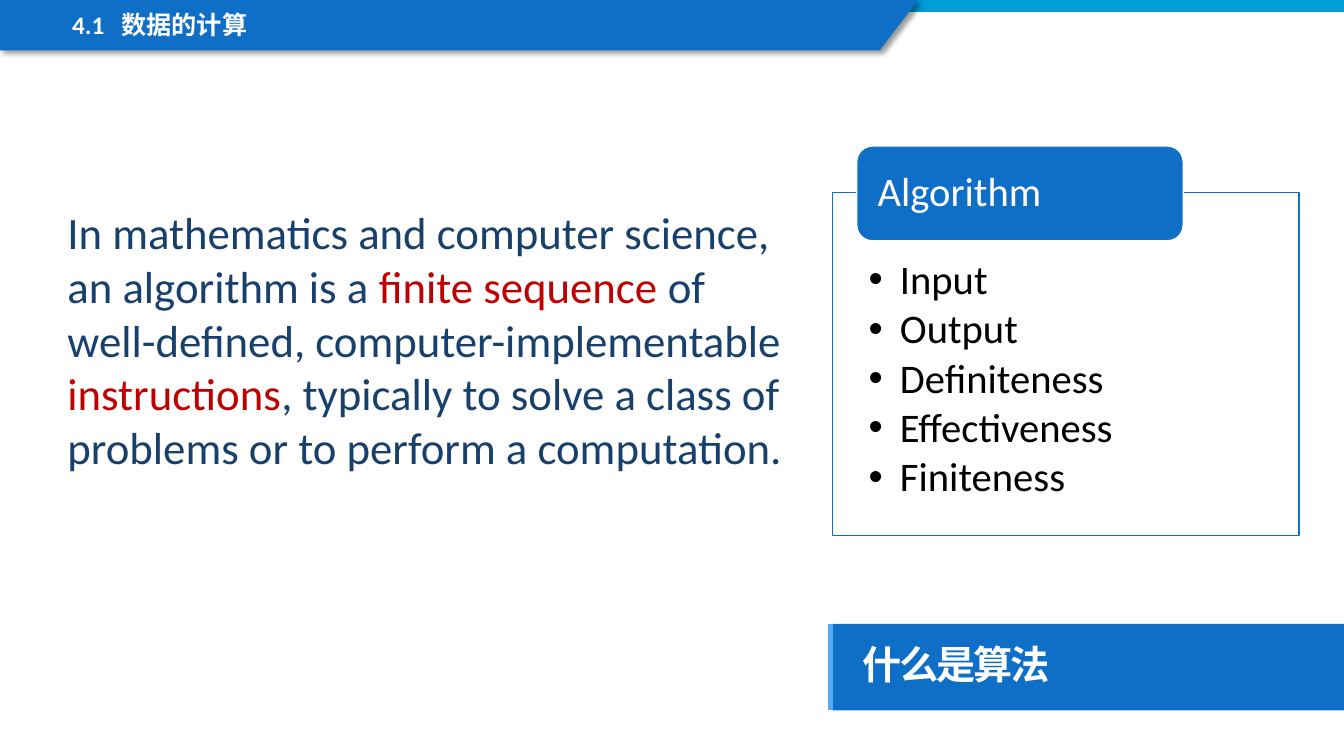
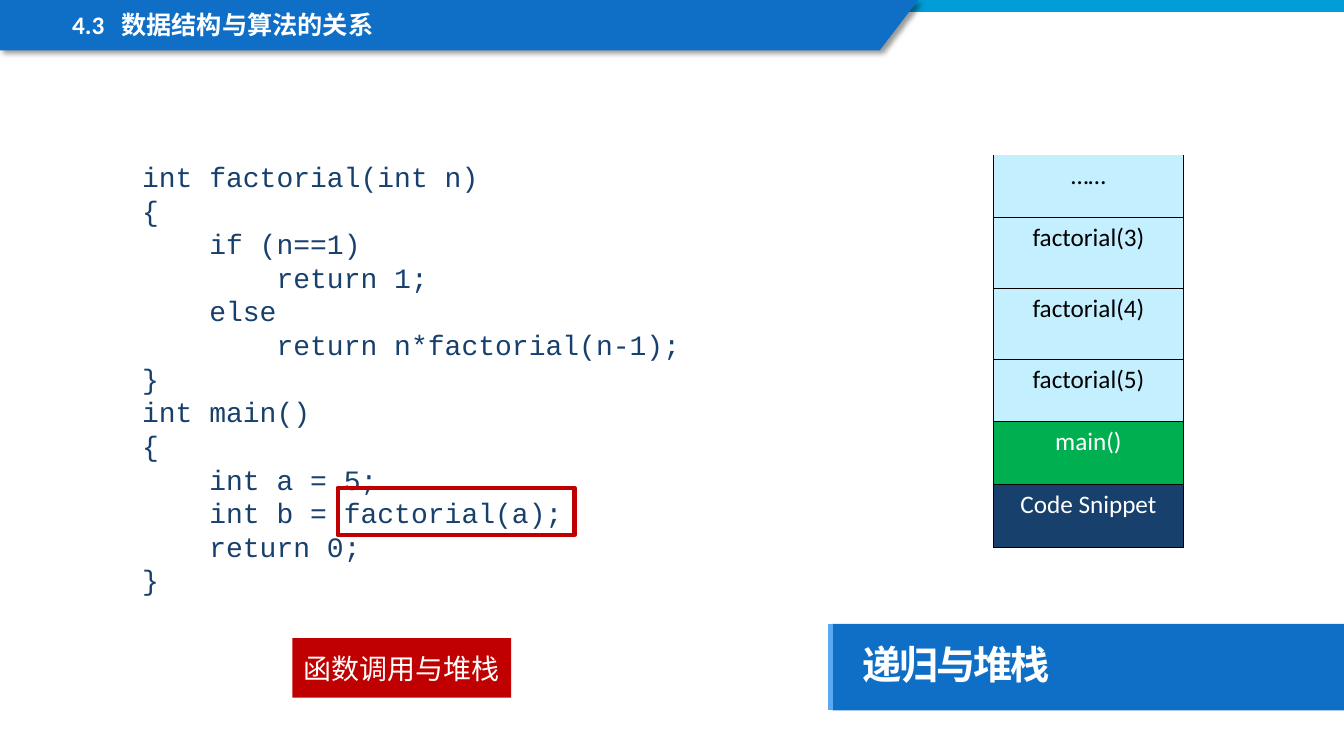
from lxml.etree import SubElement
from pptx import Presentation
from pptx.dml.color import RGBColor
from pptx.enum.shapes import MSO_CONNECTOR as Connector, MSO_SHAPE as Shape
from pptx.enum.text import MSO_ANCHOR as Anchor, MSO_AUTO_SIZE as AutoSize, PP_ALIGN as Align
from pptx.oxml import parse_xml
from pptx.oxml.ns import nsdecls, qn
from pptx.util import Cm, Pt

BLUE, CYAN, SKY, PALE = "0F6FC6", "009DD9", "59AAF2", "C4EFFF"
NAVY, RED, GREEN = "17406D", "C00000", "00B050"
WHITE, BLACK = "FFFFFF", "000000"
LATIN, CHINESE, MONO = "Calibri", "Noto Sans CJK SC", "Courier New"
WIDTH, HEIGHT = 33.87, 19.05
PANEL_LEFT = 20.98
DEFAULT_INSETS = (0.25, 0.13, 0.25, 0.13)


def rgb(colour):
    return RGBColor.from_string(colour)


def box(left, top, width, height):
    return Cm(left), Cm(top), Cm(width), Cm(height)


class Deck:
    def __init__(self):
        self.presentation = Presentation()
        self.presentation.slide_width = Cm(WIDTH)
        self.presentation.slide_height = Cm(HEIGHT)
        self.slide = None

    def new_slide(self, section, title):
        layout = self.presentation.slide_layouts[5]
        self.slide = self.presentation.slides.add_slide(layout)
        self.title(title)
        self.accent_line(20.93, 15.72, 17.9)
        self.rectangle((0, 0, WIDTH, 0.3), fill=CYAN)
        self.header_band()
        self.text_box((1.57, 0.18, 17.68, 0.97), [section], 18, WHITE,
                      bold=True, spacing=0.9, tab=1.24)

    def title(self, text):
        shape = self.slide.shapes.title
        shape.left, shape.top, shape.width, shape.height = box(PANEL_LEFT, 15.72, 12.89, 2.18)
        shape.fill.solid()
        shape.fill.fore_color.rgb = rgb(BLUE)
        self.set_text(shape, [text], 28, WHITE, font=CHINESE, bold=True, spacing=0.9,
                      anchor=Anchor.MIDDLE, insets=(0.76, 0.5, 0.5, 0.5), tracking=-1.5)

    def accent_line(self, x, top, bottom):
        line = self.slide.shapes.add_connector(
            Connector.STRAIGHT, Cm(x), Cm(top), Cm(x), Cm(bottom))
        line.line.color.rgb = rgb(SKY)
        line.line.width = Pt(3)
        SubElement(line._element.spPr, qn("a:effectLst"))

    def header_band(self):
        builder = self.slide.shapes.build_freeform(0, 0)
        corners = [(23.14, 0), (22.17, 1.27), (0, 1.27)]
        builder.add_line_segments([(Cm(x), Cm(y)) for x, y in corners], close=True)
        band = builder.convert_to_shape()
        self.paint(band, BLUE)
        effects = band._element.spPr.find(qn("a:effectLst"))
        effects.append(parse_xml(
            f'<a:outerShdw {nsdecls("a")} blurRad="{Pt(4)}" dist="{Pt(3)}" dir="2700000" '
            'algn="tl" rotWithShape="0"><a:srgbClr val="000000"><a:alpha val="40000"/>'
            '</a:srgbClr></a:outerShdw>'))

    def paint(self, shape, fill=None, line=None, weight=1):
        shape.shadow.inherit = False
        if fill:
            shape.fill.solid()
            shape.fill.fore_color.rgb = rgb(fill)
        else:
            shape.fill.background()
        if line:
            shape.line.color.rgb = rgb(line)
            shape.line.width = Pt(weight)
        else:
            shape.line.fill.background()

    def rectangle(self, place, fill=None, line=None, weight=1, kind=Shape.RECTANGLE):
        shape = self.slide.shapes.add_shape(kind, *box(*place))
        self.paint(shape, fill, line, weight)
        return shape

    def text_box(self, place, lines, size, colour, **style):
        shape = self.slide.shapes.add_textbox(*box(*place))
        self.set_text(shape, lines, size, colour, **style)

    def prepare(self, shape, anchor, insets):
        frame = shape.text_frame
        frame.auto_size = AutoSize.NONE
        frame.word_wrap = True
        frame.vertical_anchor = anchor
        frame.margin_left, frame.margin_top, frame.margin_right, frame.margin_bottom = box(*insets)
        return frame

    def set_text(self, shape, lines, size, colour, font=LATIN, bold=False, align=Align.LEFT,
                 anchor=Anchor.TOP, insets=DEFAULT_INSETS, spacing=None, after=None,
                 bullet=False, tab=None, tracking=None):
        frame = self.prepare(shape, anchor, insets)
        frame.text = "\n".join(lines)
        for paragraph in frame.paragraphs:
            properties = paragraph._p.get_or_add_pPr()
            if bullet:
                properties.set("marL", str(Cm(0.79)))
                properties.set("indent", str(-Cm(0.79)))
                SubElement(properties, qn("a:buFont"), typeface="Arial")
                SubElement(properties, qn("a:buChar"), char="•")
            if tab:
                tabs = SubElement(properties, qn("a:tabLst"))
                SubElement(tabs, qn("a:tab"), pos=str(Cm(tab)), algn="l")
            paragraph.alignment = align
            if spacing:
                paragraph.line_spacing = spacing
            if after:
                paragraph.space_after = Pt(after)
            for run in paragraph.runs:
                self.style_run(run, size, colour, font, bold, tracking)

    def style_run(self, run, size, colour, font=LATIN, bold=False, tracking=None):
        run.font.size = Pt(size)
        run.font.bold = bold
        run.font.name = font
        run.font.color.rgb = rgb(colour)
        properties = run._r.get_or_add_rPr()
        SubElement(properties, qn("a:ea"), typeface=CHINESE)
        if tracking:
            properties.set("spc", str(int(tracking * 100)))

    def coloured_text(self, place, pieces, size):
        shape = self.slide.shapes.add_textbox(*box(*place))
        paragraph = self.prepare(shape, Anchor.TOP, DEFAULT_INSETS).paragraphs[0]
        for text, colour in pieces:
            run = paragraph.add_run()
            run.text = text
            self.style_run(run, size, colour)

    def titled_list(self, heading, items):
        panel = self.rectangle((PANEL_LEFT, 4.85, 11.76, 8.64), WHITE, BLUE)
        self.set_text(panel, items, 29, BLACK, spacing=0.9, after=4, bullet=True,
                      insets=(0.91, 1.68, 0.91, 0.58))
        label = self.rectangle((21.59, 3.68, 8.23, 2.39), BLUE, WHITE,
                               kind=Shape.ROUNDED_RECTANGLE)
        self.set_text(label, [heading], 29, WHITE, spacing=0.9, anchor=Anchor.MIDDLE,
                      insets=(0.41, 0, 0.41, 0))

    def stack_table(self, left, top, width, rows):
        total = sum(height for _, height, _, _ in rows)
        graphic = self.slide.shapes.add_table(len(rows), 1, *box(left, top, width, total))
        table = graphic.table
        table.first_row = table.horz_banding = False
        for index, (text, height, fill, colour) in enumerate(rows):
            table.rows[index].height = Cm(height)
            cell = table.cell(index, 0)
            cell.text = text
            paragraph = cell.text_frame.paragraphs[0]
            paragraph.alignment = Align.CENTER
            self.style_run(paragraph.runs[0], 18, colour)
            self.cell_borders(cell, open_top=index == 0)
            cell.fill.solid()
            cell.fill.fore_color.rgb = rgb(fill)

    def cell_borders(self, cell, open_top):
        properties = cell._tc.get_or_add_tcPr()
        for side in "LRTB":
            border = SubElement(properties, qn(f"a:ln{side}"), w=str(Pt(1)))
            if side == "T" and open_top:
                SubElement(border, qn("a:noFill"))
            else:
                fill = SubElement(border, qn("a:solidFill"))
                SubElement(fill, qn("a:srgbClr"), val=BLACK)


CODE = """int factorial(int n)
{
    if (n==1)
        return 1;
    else
        return n*factorial(n-1);
}
int main()
{
    int a = 5;
    int b = factorial(a);
    return 0;
}"""


def algorithm_slide(deck):
    deck.new_slide("4.1\t数据的计算", "什么是算法")
    deck.coloured_text((1.45, 5.03, 18.75, 7.09), [
        ("In mathematics and computer science, an algorithm is a ", NAVY),
        ("finite sequence", RED),
        (" of well-defined, computer-implementable ", NAVY),
        ("instructions", RED),
        (", typically to solve a class of problems or to perform a computation.", NAVY),
    ], 32)
    deck.titled_list("Algorithm", ["Input", "Output", "Definiteness",
                                   "Effectiveness", "Finiteness"])


def recursion_slide(deck):
    deck.new_slide("4.3\t数据结构与算法的关系", "递归与堆栈")
    deck.text_box((3.33, 3.89, 17.25, 11.28), CODE.split("\n"), 20, NAVY, font=MONO)
    deck.stack_table(25.04, 3.91, 4.78, [
        ("……", 1.58, PALE, BLACK),
        ("factorial(3)", 1.78, PALE, BLACK),
        ("factorial(4)", 1.78, PALE, BLACK),
        ("factorial(5)", 1.58, PALE, BLACK),
        ("main()", 1.58, GREEN, WHITE),
        ("Code Snippet", 1.58, NAVY, WHITE),
    ])
    deck.rectangle((8.51, 12.29, 5.97, 1.19), line=RED, weight=3)
    label = deck.rectangle((7.37, 16.08, 5.51, 1.5), RED)
    deck.set_text(label, ["函数调用与堆栈"], 20, WHITE, font=CHINESE,
                  align=Align.CENTER, anchor=Anchor.MIDDLE)


def main():
    deck = Deck()
    algorithm_slide(deck)
    recursion_slide(deck)
    deck.presentation.save("out.pptx")


if __name__ == "__main__":
    main()
